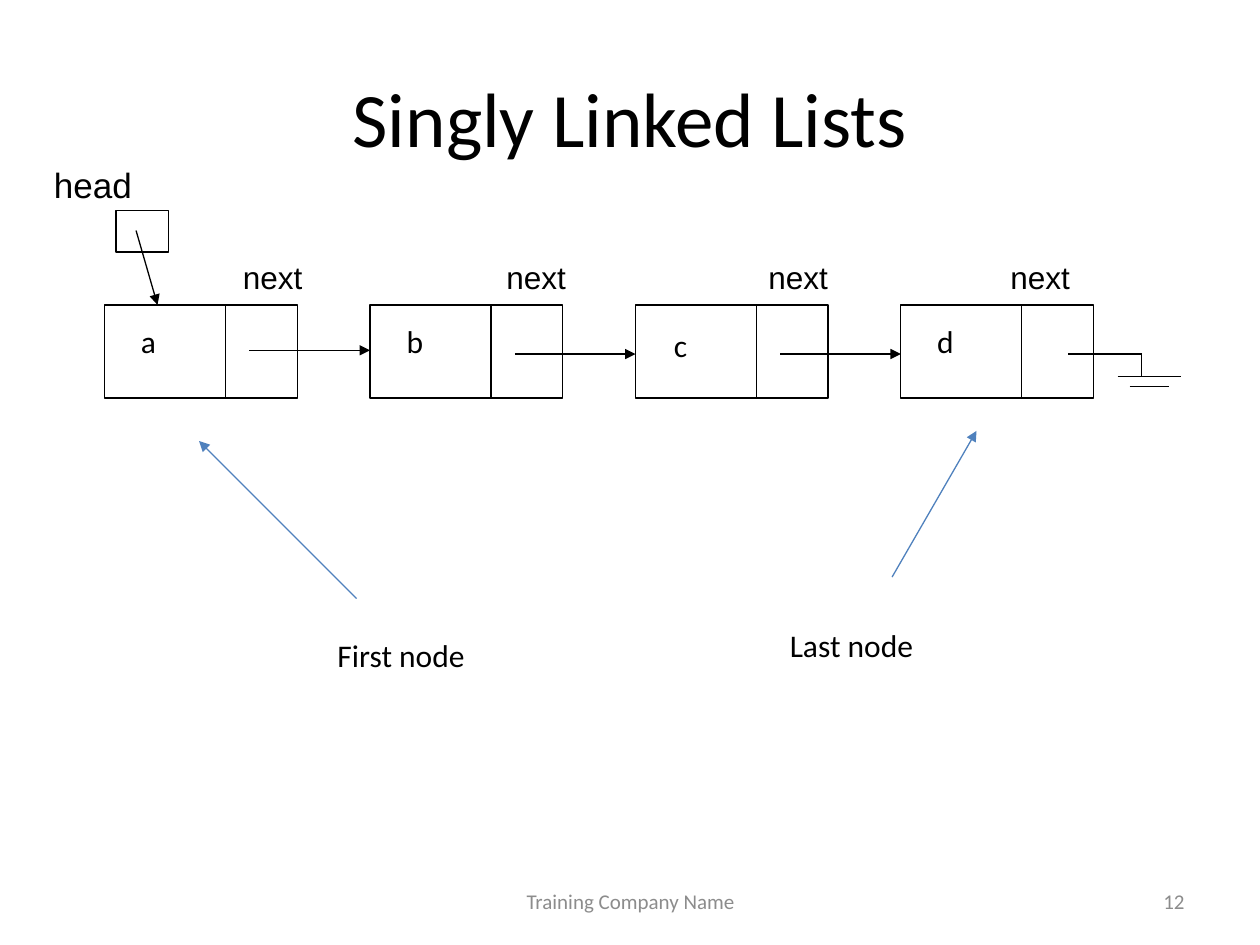
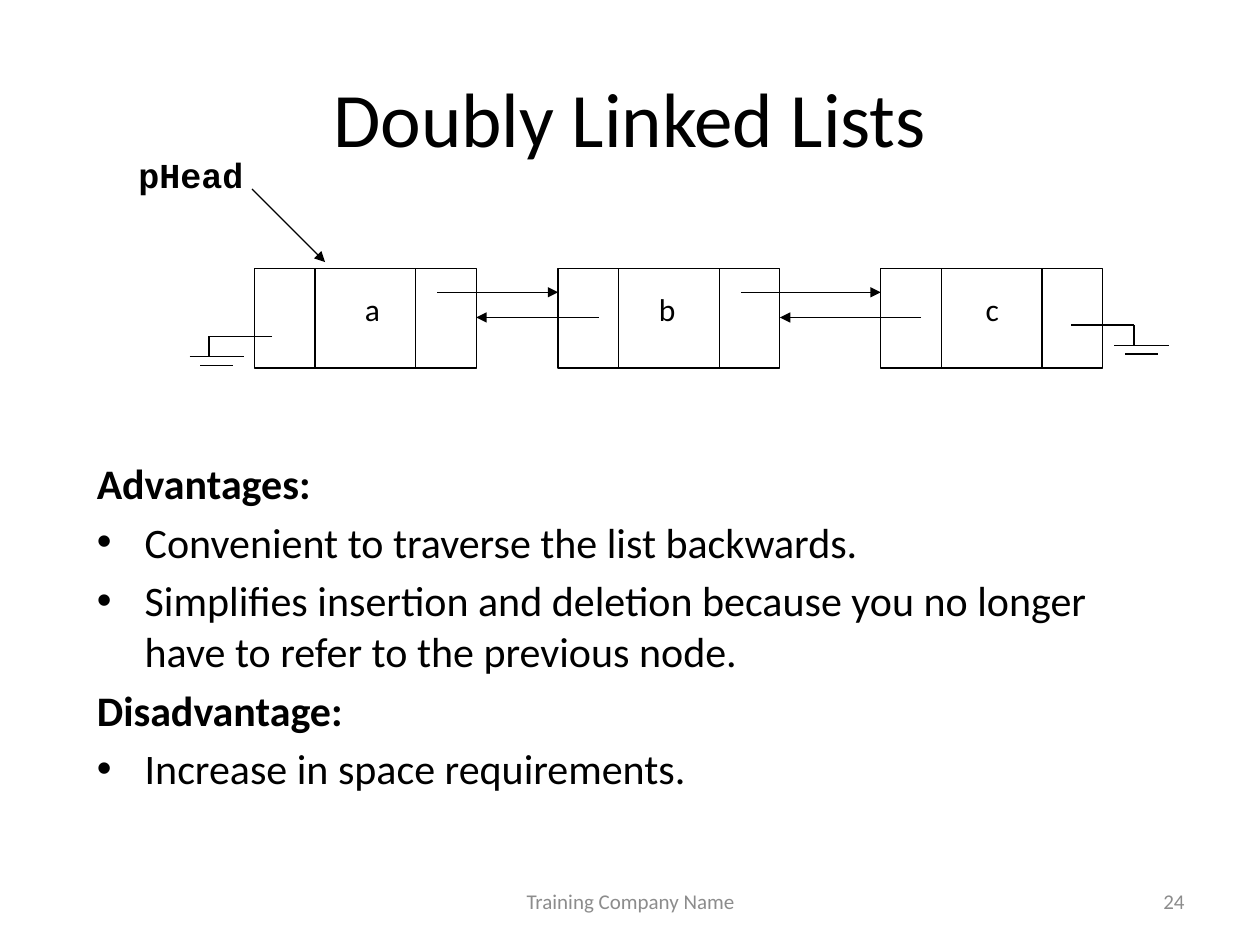
from pptx import Presentation
from pptx import util as u
from pptx.dml.color import RGBColor
from pptx.enum import shapes, text
from pptx.oxml.ns import qn
from lxml import etree


class Theme:
    ink, paper = RGBColor(0, 0, 0), RGBColor(255, 255, 255)
    muted, accent = RGBColor(0x8C, 0x8C, 0x8C), RGBColor(0x4F, 0x81, 0xBD)
    body_font, label_font, code_font = "Calibri", "Arial", "Courier New"
    title, body, head, label, footer = 44, 24, 20, 18, 12
    line = 0.75


# Content
FOOTER = "Training Company Name"
SINGLY = {
    "title": "Singly Linked Lists", "number": "12",
    # value, value position, left of the "next" label, height of the arrow
    "nodes": [("a", (1.02, 2.51), 1.83, 2.78), ("b", (3.13, 2.51), 3.92, 2.81),
              ("c", (5.25, 2.54), 6.0, 2.81), ("d", (7.34, 2.51), 7.92, 2.81)],
    # text, box, arrow start, arrow end
    "notes": [("First node", (2.58, 5, 1.92, 0.5), (2.83, 4.75), (1.58, 3.5)),
              ("Last node", (6.17, 4.92, 2.17, 0.5), (7.08, 4.58), (7.75, 3.42))],
}
DOUBLY = {
    "title": "Doubly Linked Lists", "number": "24",
    # value, left of the node, left of the value
    "nodes": [("a", 2.02, 2.58), ("b", 4.43, 4.92), ("c", 6.99, 7.5)],
    # text, is a heading
    "points": [
        ("Advantages:", True),
        ("Convenient to traverse the list backwards.", False),
        ("Simplifies insertion and deletion because you no longer "
         "have to refer to the previous node.", False),
        ("Disadvantage:", True),
        ("Increase in space requirements.", False)],
}


# Drawing helpers
def apply(target, **values):
    for name, value in values.items():
        setattr(target, name, value)


def inches(*values):
    return [u.Inches(value) for value in values]


def add_text(page, words, at, size=Theme.label, font=Theme.body_font,
             color=Theme.ink, bold=False, align=text.PP_ALIGN.LEFT,
             anchor=text.MSO_ANCHOR.TOP):
    box = page.shapes.add_textbox(*inches(*at))
    apply(box.text_frame, word_wrap=True, vertical_anchor=anchor)
    para = box.text_frame.paragraphs[0]
    para.alignment = align
    add_span(para, words, size, font, color, bold)
    return box


def add_span(para, words, size, font, color, bold):
    span = para.add_run()
    span.text = words
    apply(span.font, size=u.Pt(size), name=font, bold=bold)
    span.font.color.rgb = color


def add_line(page, start, end, color=Theme.ink, arrow=False):
    line = page.shapes.add_connector(
        shapes.MSO_CONNECTOR.STRAIGHT, *inches(*start, *end))
    line.line.color.rgb = color
    line.line.width = u.Pt(Theme.line)
    if arrow:
        etree.SubElement(line.line._get_or_add_ln(), qn("a:tailEnd"), type="triangle")
    etree.SubElement(line._element.spPr, qn("a:effectLst"))


def add_box(page, at, filled=True):
    box = page.shapes.add_shape(shapes.MSO_SHAPE.RECTANGLE, *inches(*at))
    box.shadow.inherit = False
    if filled:
        box.fill.solid()
        box.fill.fore_color.rgb = Theme.paper
    else:
        box.fill.background()
    box.line.color.rgb = Theme.ink
    box.line.width = u.Pt(Theme.line)


def add_node(page, left, top, width, height, dividers):
    add_box(page, (left, top, width, height))
    for offset in dividers:
        add_line(page, (left + offset, top), (left + offset, top + height))


def add_ground(page, start, stem, drop, shift, plates, gap):
    """Null pointer: a lead, a stem down, then two plates."""
    x, y = start
    add_line(page, start, (stem, y))
    add_line(page, (stem, y), (stem, y + drop))
    for row, width in enumerate(plates):
        level, middle = y + drop + row * gap, stem + shift
        add_line(page, (middle - width / 2, level), (middle + width / 2, level))


def add_page(deck, content):
    page = deck.slides.add_slide(deck.slide_layouts[6])
    center, middle = text.PP_ALIGN.CENTER, text.MSO_ANCHOR.MIDDLE
    add_text(page, content["title"], (0.5, 0.3, 9, 1.25), Theme.title,
             align=center, anchor=middle)
    for words, at, align in [
            (FOOTER, (3.42, 6.95, 3.17, 0.4), center),
            (content["number"], (7.17, 6.95, 2.33, 0.4), text.PP_ALIGN.RIGHT)]:
        add_text(page, words, at, Theme.footer, color=Theme.muted,
                 align=align, anchor=middle)
    return page


def add_points(page, points, at):
    box = add_text(page, "", at)
    for index, (words, heading) in enumerate(points):
        frame = box.text_frame
        para = frame.add_paragraph() if index else frame.paragraphs[0]
        para.clear()
        para.space_before = u.Pt(Theme.body * 0.2)
        add_span(para, words, Theme.body, Theme.body_font, Theme.ink, heading)
        props = para._p.get_or_add_pPr()
        props.set("marL", str(u.Inches(0.38)))
        props.set("indent", str(u.Inches(-0.38)))
        if not heading:
            etree.SubElement(props, qn("a:buFont"), typeface=Theme.label_font)
            etree.SubElement(props, qn("a:buChar"), char="\u2022")


def build_singly(deck):
    page = add_page(deck, SINGLY)
    nodes = SINGLY["nodes"]
    first, last = 0.83, 7.15
    lefts = [first + (last - first) * i / (len(nodes) - 1) for i in range(len(nodes))]
    for left in lefts:
        add_node(page, left, 2.42, 1.53, 0.74, [0.96])
    for left, (value, spot, label, level) in zip(lefts, nodes):
        add_text(page, value, (*spot, 0.77, 0.55))
        add_text(page, "next", (label, 2, 0.92, 0.4), font=Theme.label_font)
    for left, following, node in zip(lefts, lefts[1:], nodes):
        add_line(page, (left + 1.15, node[3]), (following, node[3]), arrow=True)
    add_ground(page, (8.48, 2.81), 9.06, 0.18, 0.06, (0.5, 0.31), 0.08)
    # Head pointer
    add_text(page, "head", (0.33, 1.25, 2.75, 0.43), Theme.head, Theme.label_font)
    add_box(page, (0.92, 1.67, 0.42, 0.33), filled=False)
    add_line(page, (1.08, 1.83), (1.25, 2.42), arrow=True)
    # Notes below the list
    for words, at, start, end in SINGLY["notes"]:
        add_text(page, words, at)
        add_line(page, start, end, Theme.accent, arrow=True)


def build_doubly(deck):
    page = add_page(deck, DOUBLY)
    nodes, width = DOUBLY["nodes"], 1.76
    for value, left, value_left in nodes:
        add_node(page, left, 2.13, width, 0.79, [0.48, 1.28])
        add_text(page, value, (value_left, 2.25, 0.75, 0.5),
                 align=text.PP_ALIGN.CENTER)
    # Links forward and back
    for (_, left, _), (_, following, _) in zip(nodes, nodes[1:]):
        add_line(page, (left + 1.45, 2.32), (following, 2.32), arrow=True)
        add_line(page, (following + 0.32, 2.52), (left + width, 2.52), arrow=True)
    for start, stem in [((8.5, 2.58), 9.0), ((2.16, 2.67), 1.66)]:
        add_ground(page, start, stem, 0.16, 0.06, (0.43, 0.26), 0.07)
    # Head pointer
    add_text(page, "pHead", (1, 1.17, 1.42, 0.59), Theme.head,
             Theme.code_font, bold=True)
    add_line(page, (2, 1.5), (2.58, 2.08), arrow=True)
    add_points(page, DOUBLY["points"], (0.67, 3.58, 8.67, 2.92))


deck = Presentation()
apply(deck, slide_width=u.Inches(10), slide_height=u.Inches(7.5))
build_singly(deck)
build_doubly(deck)
deck.save("out.pptx")
